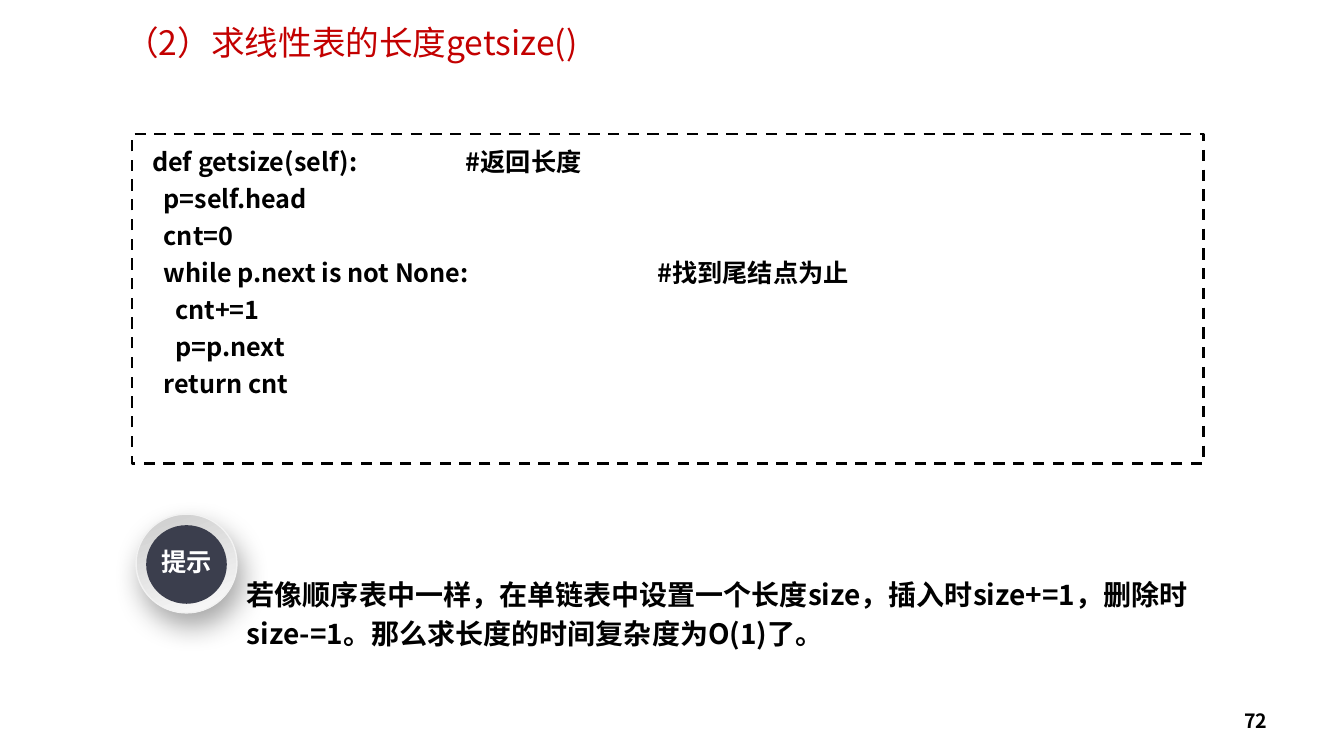
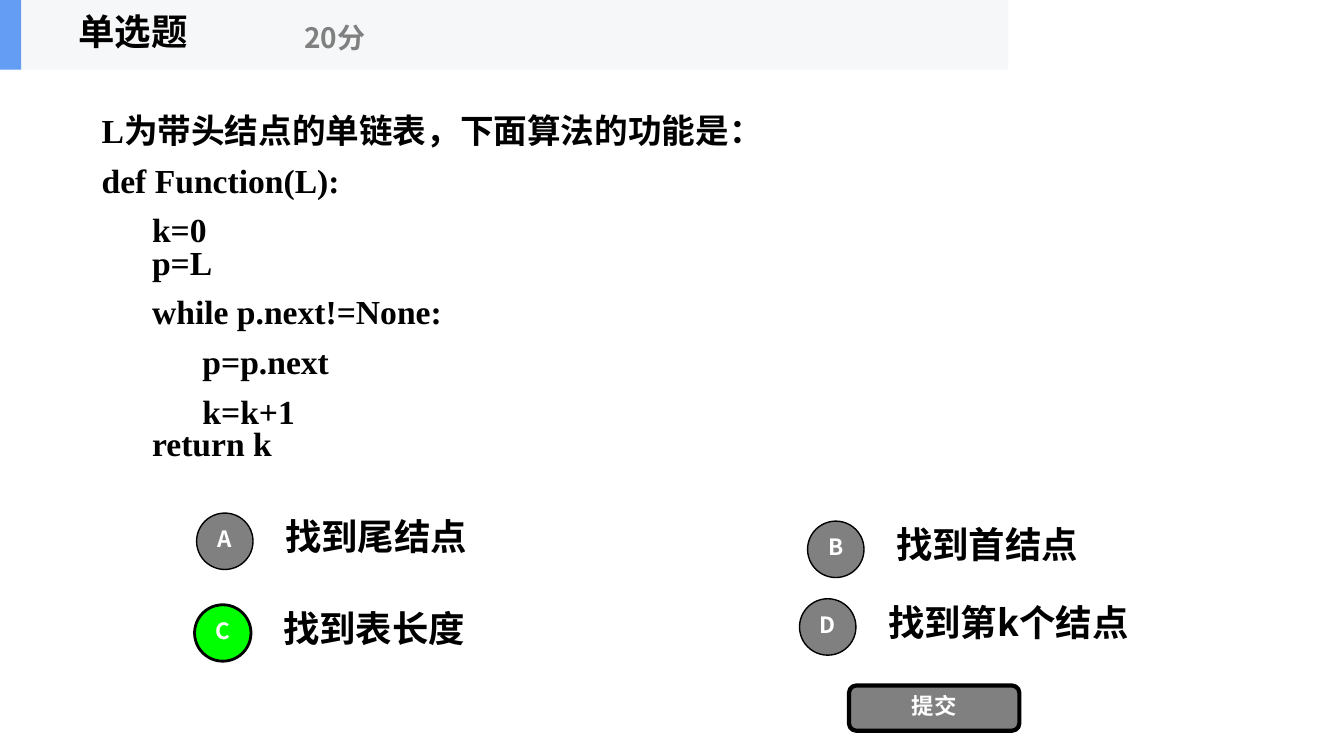
from lxml.etree import SubElement
from pptx import Presentation
from pptx.dml.color import RGBColor
from pptx.enum.dml import MSO_LINE
from pptx.enum.shapes import MSO_SHAPE
from pptx.enum.text import MSO_ANCHOR, PP_ALIGN
from pptx.oxml.ns import qn
from pptx.util import Emu, Pt

SCALE = 9144  # EMU in one px, 100 px to the inch
SANS = "Noto Sans CJK SC"
SERIF = "Times New Roman"
BLACK, WHITE, GRAY = "000000", "FFFFFF", "808080"
TITLE_RED, CORRECT_GREEN = "C30000", "00FF00"
BADGE_DARK, BADGE_RIM = "3B3E4D", "F2F2F2"
BADGE_LIGHTS = ("CCCCCC", "FCFCFC")
BAND, BAND_ACCENT = "F6F7F8", "639EF4"
LEFT, CENTER, RIGHT = PP_ALIGN.LEFT, PP_ALIGN.CENTER, PP_ALIGN.RIGHT
TOP, MIDDLE = MSO_ANCHOR.TOP, MSO_ANCHOR.MIDDLE


def px(value):
    return Emu(value * SCALE)


def color(hex_text):
    return RGBColor.from_string(hex_text)


class Deck:
    """Holds the shared style and the current slide."""

    def __init__(self):
        self.presentation = Presentation()
        self.presentation.slide_width = px(1333)
        self.presentation.slide_height = px(750)
        self.slide = None

    def new_slide(self):
        layout = self.presentation.slide_layouts[6]
        self.slide = self.presentation.slides.add_slide(layout)

    def shape(self, kind, box, fill, line=None, width=1):
        shape = self.slide.shapes.add_shape(kind, *map(px, box))
        shape.shadow.inherit = False
        shape.fill.solid()
        shape.fill.fore_color.rgb = color(fill)
        if line:
            shape.line.color.rgb = color(line)
            shape.line.width = Pt(width)
        else:
            shape.line.fill.background()
        return shape

    def label(self, shape, lines, size, ink=BLACK, bold=True, align=LEFT,
              anchor=MIDDLE, spacing=0.8, gap=0, font=SANS, tabs=None):
        """Fill a shape with paragraphs; tabs maps a line number to a tab stop."""
        frame = shape.text_frame
        frame.word_wrap = True
        frame.vertical_anchor = anchor
        for number, line in enumerate(lines):
            paragraph = frame.add_paragraph() if number else frame.paragraphs[0]
            paragraph.text = line
            if tabs and number in tabs:
                stops = SubElement(paragraph._p.get_or_add_pPr(), qn("a:tabLst"))
                SubElement(stops, qn("a:tab"), pos=str(px(tabs[number])), algn="l")
            paragraph.alignment = align
            paragraph.line_spacing = spacing
            if number and gap:
                paragraph.space_before = Pt(gap)
            for run in paragraph.runs:
                run.font.size = Pt(size)
                run.font.bold = bold
                run.font.color.rgb = color(ink)
                run.font.name = font
                SubElement(run._r.get_or_add_rPr(), qn("a:ea"), typeface=SANS)

    def text(self, box, lines, size, **style):
        self.label(self.slide.shapes.add_textbox(*map(px, box)), lines, size, **style)

    def title(self, line):
        self.text((13, 25, 671, 42), [line], 24, ink=TITLE_RED, bold=False,
                  align=CENTER, anchor=TOP)

    def page_number(self, number):
        self.text((956, 695, 311, 40), [str(number)], 14, align=RIGHT, spacing=1.0)

    def code_box(self, box, lines, tabs):
        shape = self.shape(MSO_SHAPE.RECTANGLE, box, WHITE, BLACK, 2)
        shape.line.dash_style = MSO_LINE.DASH
        frame = shape.text_frame
        frame.margin_left = px(20)
        frame.margin_top = frame.margin_bottom = px(12)
        self.label(shape, lines, 18, anchor=TOP, spacing=1.0, gap=4.8, tabs=tabs)

    def badge(self, caption):
        rim = self.shape(MSO_SHAPE.OVAL, (135, 510, 100, 98), WHITE, BADGE_RIM)
        rim.fill.gradient()
        rim.fill.gradient_angle = 290
        for stop, light, position in zip(rim.fill.gradient_stops, BADGE_LIGHTS, (0, 1)):
            stop.color.rgb = color(light)
            stop.position = position
        # Soft shadow below the rim
        effects = rim.element.spPr.find(qn("a:effectLst"))
        shadow = SubElement(effects, qn("a:outerShdw"), blurRad=str(Pt(20)),
                            dist=str(Pt(10)), dir=str(70 * 60000), rotWithShape="0")
        shade = SubElement(shadow, qn("a:srgbClr"), val=BLACK)
        SubElement(shade, qn("a:alpha"), val="34000")
        face = self.shape(MSO_SHAPE.OVAL, (145, 521, 80, 78), BADGE_DARK)
        face.text_frame.margin_left = face.text_frame.margin_right = 0
        self.label(face, [caption], 18, ink=WHITE, align=CENTER)

    def question_header(self, kind, points):
        self.shape(MSO_SHAPE.RECTANGLE, (0, 0, 1000, 69), BAND)
        self.shape(MSO_SHAPE.RECTANGLE, (0, 0, 21, 69), BAND_ACCENT)
        self.text((28, 0, 208, 69), [kind], 26, align=CENTER)
        self.text((207, 12, 250, 56), [points], 20, ink=GRAY, align=CENTER)

    def option(self, left, top, letter, answer, correct=False):
        fill, width = (CORRECT_GREEN, 2) if correct else (GRAY, 1)
        circle = self.shape(MSO_SHAPE.OVAL, (left, top, 56, 56), fill, BLACK, width)
        self.label(circle, [letter], 16, ink=WHITE, align=CENTER)
        self.text((left + 78, top - 8, 440, 70), [answer], 26)

    def button(self, box, caption):
        shape = self.shape(MSO_SHAPE.ROUNDED_RECTANGLE, box, GRAY, BLACK, 3)
        self.label(shape, [caption], 16, ink=WHITE, align=CENTER)


def length_slide(deck):
    deck.new_slide()
    deck.code_box((131, 133, 1063, 327), [
        "def getsize(self):\t#返回长度",
        "  p=self.head",
        "  cnt=0",
        "  while p.next is not None:\t#找到尾结点为止",
        "    cnt+=1",
        "    p=p.next",
        "  return cnt",
    ], tabs={0: 311, 3: 501})
    deck.text((235, 562, 959, 88), [
        "若像顺序表中一样，在单链表中设置一个长度size，插入时size+=1，"
        "删除时size-=1。那么求长度的时间复杂度为O(1)了。",
    ], 20, anchor=TOP, spacing=Pt(28))
    deck.badge("提示")
    deck.page_number(72)
    deck.title("（2）求线性表的长度getsize()")


def question_slide(deck):
    deck.new_slide()
    deck.question_header("单选题", "20分")
    # Question with its code; \v is a line break inside a paragraph
    deck.text((91, 102, 759, 372), [
        "L为带头结点的单链表，下面算法的功能是：",
        "def Function(L):",
        "\tk=0\v\tp=L",
        "\twhile p.next!=None:",
        "\t\tp=p.next",
        "\t\tk=k+1\v\treturn k",
    ], 24, gap=12.5, font=SERIF)
    # Answers
    deck.option(195, 509, "A", "找到尾结点")
    deck.option(801, 517, "B", "找到首结点")
    deck.option(193, 600, "C", "找到表长度", correct=True)
    deck.option(793, 594, "D", "找到第k个结点")
    deck.button((842, 680, 169, 45), "提交")


def main():
    deck = Deck()
    length_slide(deck)
    question_slide(deck)
    deck.presentation.save("out.pptx")


if __name__ == "__main__":
    main()
